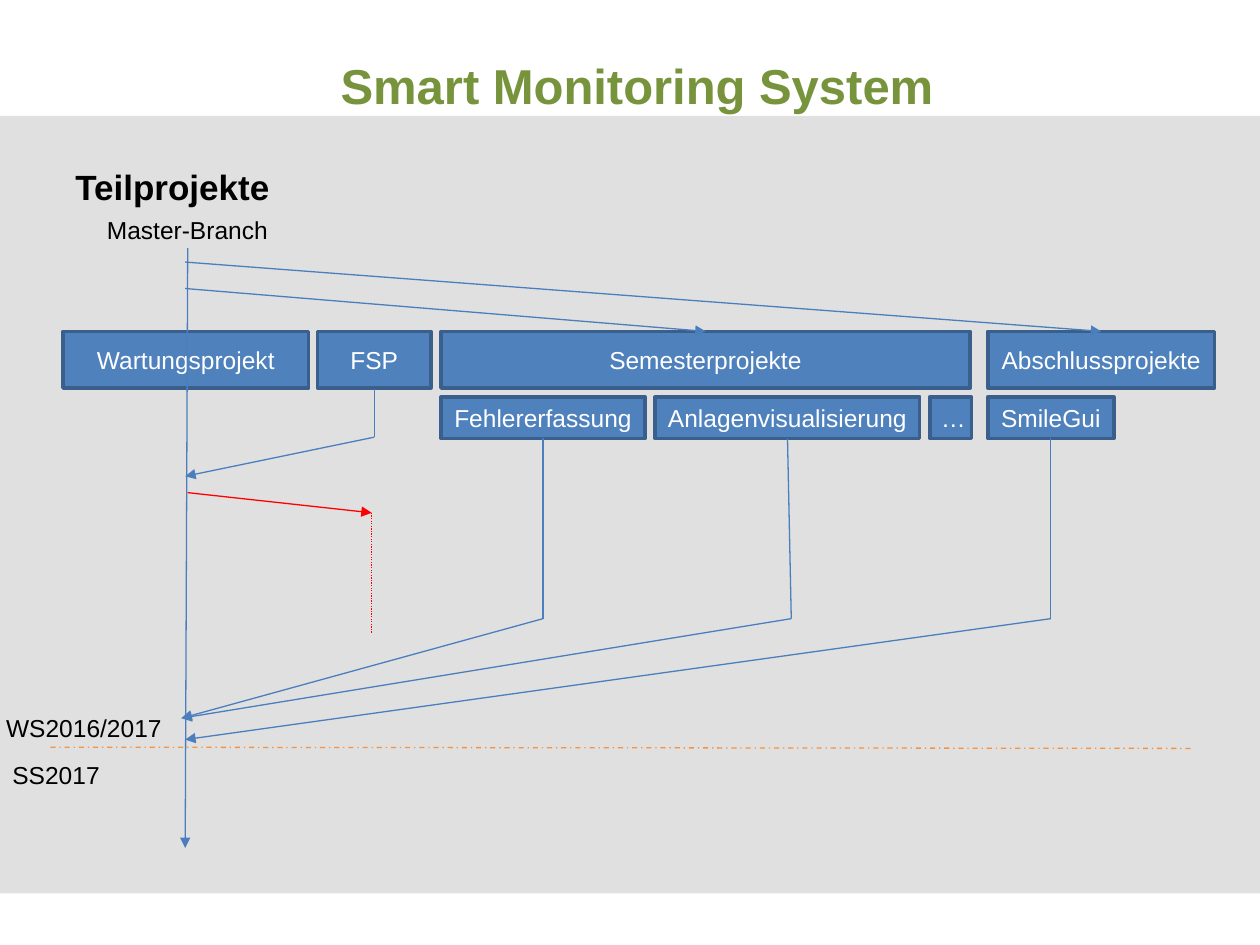
from pptx import Presentation
from pptx import util as u
from pptx.dml import color
from pptx.enum import dml, shapes, text
from pptx.oxml import ns, xmlchemy as xml

SOLID = dml.MSO_LINE.SOLID


def tint(code):
    return color.RGBColor.from_string(code)


def apply(item, vals):
    for key, val in vals.items():
        setattr(item, key, val)


def add(node, tag, **attrs):
    child = xml.OxmlElement(tag)
    for key, val in attrs.items():
        child.set(key, val)
    node.append(child)
    return child


class Page:
    blue, edge, wire = "4F81BD", "3A5F8C", "4B7EBC"
    font = {"name": "Arial", "size": u.Pt(14), "bold": False}

    def __init__(self, deck):
        self.slide = deck.slides.add_slide(deck.slide_layouts[6])
        self.items = self.slide.shapes

    def fill_in(self, frame, words, ink, align, **vals):
        para = frame.paragraphs[0]
        para.alignment = align
        run = para.add_run()
        run.text = words
        apply(run.font, {**self.font, **vals})
        run.font.color.rgb = tint(ink)

    def rect(self, area, fill):
        item = self.items.add_shape(
            shapes.MSO_SHAPE.RECTANGLE, *map(u.Inches, area))
        item.shadow.inherit = False
        item.fill.solid()
        item.fill.fore_color.rgb = tint(fill)
        return item

    def panel(self, area, fill, alpha):
        item = self.rect(area, fill)
        item.line.fill.background()
        tone = item._element.spPr.find(".//" + ns.qn("a:srgbClr"))
        add(tone, "a:alpha", val=str(alpha * 1000))

    def box(self, words, *area):
        item = self.rect(area, self.blue)
        item.line.color.rgb = tint(self.edge)
        item.line.width = u.Pt(2)
        side = u.Inches(0.09)
        apply(item.text_frame, {
            "margin_left": side, "margin_right": side, "word_wrap": True,
            "vertical_anchor": text.MSO_ANCHOR.MIDDLE})
        self.fill_in(item.text_frame, words, "FFFFFF", text.PP_ALIGN.CENTER)

    def label(self, words, area, ink="000000", top=0.05, wrap=False,
              align=text.PP_ALIGN.LEFT, **vals):
        frame = self.items.add_textbox(*map(u.Inches, area)).text_frame
        apply(frame, {"word_wrap": wrap, "margin_top": u.Inches(top)})
        self.fill_in(frame, words, ink, align, **vals)

    def line(self, start, end, ink=wire, dash=SOLID, arrow=False):
        item = self.items.add_connector(
            shapes.MSO_CONNECTOR.STRAIGHT, *map(u.Inches, start + end))
        item.line.color.rgb = tint(ink)
        apply(item.line, {"width": u.Pt(0.75), "dash_style": dash})
        props = item._element.spPr
        if arrow:
            add(props.find(ns.qn("a:ln")), "a:tailEnd", type="triangle")
        add(props, "a:effectLst")

    def merge(self, start, bend, end):
        self.line(start, bend)
        self.line(bend, end, arrow=True)


def main():
    deck = Presentation()
    apply(deck, {"slide_width": u.Inches(10), "slide_height": u.Inches(7.5)})
    page = Page(deck)
    page.panel((0, 0.92, 10, 6.17), "D8D8D8", 78)
    page.label("Teilprojekte", (0.5, 1.18, 8.97, 0.52), top=0.13, wrap=True,
               size=u.Pt(20), bold=True)
    page.label("Smart Monitoring System", (1.25, 0.34, 7.61, 0.57), "77933C",
               top=0.1, wrap=True, align=text.PP_ALIGN.CENTER,
               size=u.Pt(28), bold=True)

    for words, left, width in (
            ("Wartungsprojekt", 0.5, 1.95), ("FSP", 2.52, 0.9),
            ("Semesterprojekte", 3.5, 4.2), ("Abschlussprojekte", 7.84, 1.8)):
        page.box(words, left, 2.63, width, 0.45)
    for words, left, width in (
            ("Fehlererfassung", 3.5, 1.62),
            ("Anlagenvisualisierung", 5.2, 2.1),
            ("…", 7.38, 0.33), ("SmileGui", 7.84, 1)):
        page.box(words, left, 3.15, width, 0.33)

    for words, left, top, width in (
            ("Master-Branch", 0.75, 1.66, 1.49),
            ("WS2016/2017", -0.05, 5.61, 1.44), ("SS2017", 0, 5.98, 0.9)):
        page.label(words, (left, top, width, 0.34))

    trunk = 1.47
    page.line((1.49, 1.97), (trunk, 6.73), arrow=True)
    page.line((0.4, 5.93), (9.47, 5.94), "F69240", dml.MSO_LINE.DASH_DOT)
    for top, end in ((2.29, 5.6), (2.08, 8.74)):
        page.line((trunk, top), (end, 2.63), arrow=True)
    page.merge((2.97, 3.09), (2.97, 3.47), (trunk, 3.78))
    for left, bend, end in (
            (4.31, 4.31, (1.44, 5.7)), (6.25, 6.28, (1.44, 5.7)),
            (8.34, 8.34, (trunk, 5.87))):
        page.merge((left, 3.48), (bend, 4.91), end)
    page.line((1.49, 3.91), (2.95, 4.07), "FF0000", arrow=True)
    page.line((2.95, 4.07), (2.95, 5.03), "FF0000", dml.MSO_LINE.ROUND_DOT)
    deck.save("out.pptx")


if __name__ == "__main__":
    main()
